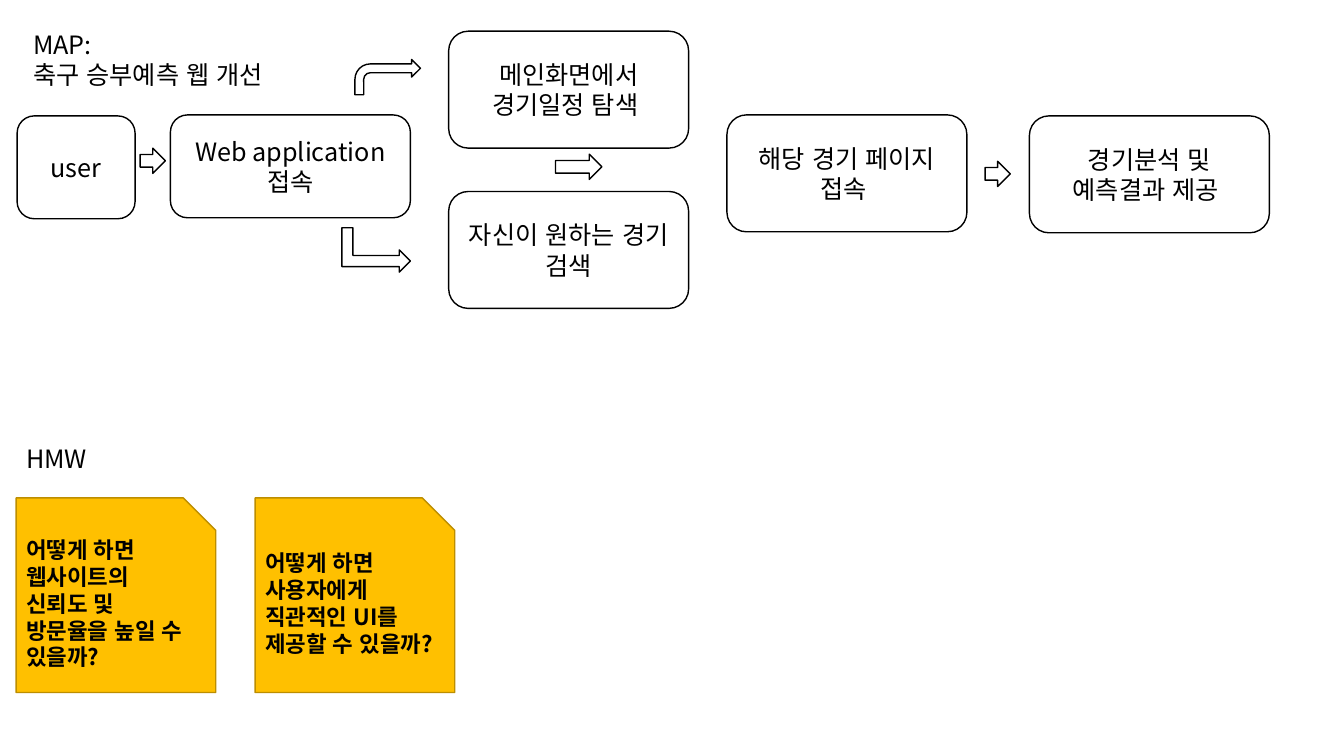
from pptx import Presentation
from pptx.dml.color import RGBColor
from pptx.enum.lang import MSO_LANGUAGE_ID as Lang
from pptx.enum.shapes import MSO_SHAPE as Shape
from pptx.enum.text import MSO_ANCHOR as Anchor, MSO_AUTO_SIZE as AutoSize, PP_ALIGN as Align
from pptx.oxml.ns import qn
from pptx.util import Inches, Pt

FONT = "Noto Sans CJK KR"
BLACK, WHITE, AMBER, BROWN = "000000", "FFFFFF", "FFC000", "BD8E00"

deck = Presentation()
deck.slide_width, deck.slide_height = Inches(13.33), Inches(7.5)
slide = deck.slides.add_slide(deck.slide_layouts[6])


def write(holder, text, size=18, bold=False, align=Align.LEFT):
    frame = holder.text_frame
    frame.word_wrap = True
    frame.text = text
    for paragraph in frame.paragraphs:
        paragraph.alignment = align
        for run in paragraph.runs:
            font = run.font
            font.name, font.size, font.bold = FONT, Pt(size), bold
            font.color.rgb = RGBColor.from_string(BLACK)
            font.language_id = Lang.KOREAN
            east_asian = font._element.makeelement(qn("a:ea"), {"typeface": FONT})
            font._element.find(qn("a:latin")).addnext(east_asian)


def draw(kind, left, top, width, height, fill=WHITE, line=BLACK):
    shape = slide.shapes.add_shape(kind, *map(Inches, (left, top, width, height)))
    shape.shadow.inherit = False
    shape.fill.solid()
    shape.fill.fore_color.rgb = RGBColor.from_string(fill)
    shape.line.color.rgb = RGBColor.from_string(line)
    shape.line.width = Pt(1)
    shape.text_frame.vertical_anchor = Anchor.MIDDLE
    return shape


# Map steps: the wide ones share one width, the later ones one height
step_width, step_height, entry_height = 2.38, 1.16, 1.02
steps = [
    ("user", 0.17, 1.15, 1.17, entry_height),
    ("Web application 접속", 1.69, 1.14, step_width, entry_height),
    ("메인화면에서 경기일정 탐색 ", 4.45, 0.31, step_width, step_height),
    ("자신이 원하는 경기 검색", 4.45, 1.9, step_width, step_height),
    ("해당 경기 페이지 접속 ", 7.21, 1.14, step_width, step_height),
    ("경기분석 및 예측결과 제공 ", 10.21, 1.15, step_width, step_height),
]
for text, *place in steps:
    write(draw(Shape.ROUNDED_RECTANGLE, *place), text, align=Align.CENTER)

# Block arrows between the steps
for left, top, length in [(1.39, 1.47, 0.25), (5.51, 1.53, 0.46), (9.77, 1.6, 0.25)]:
    draw(Shape.RIGHT_ARROW, left, top, length, 0.25)
draw(Shape.BENT_ARROW, 3.52, 0.59, 0.65, 0.35)
to_search = draw(Shape.BENT_UP_ARROW, 3.51, 2.14, 0.44, 0.68)
to_search.rotation = 90

# Section headings
headings = [
    ("MAP:\n축구 승부예측 웹 개선", 0.23, 0.24, 2.92, 0.71),
    ("HMW", 0.16, 4.35, 1.58, 0.4),
]
for text, *place in headings:
    heading = slide.shapes.add_textbox(*map(Inches, place))
    write(heading, text)
    heading.text_frame.auto_size = AutoSize.SHAPE_TO_FIT_TEXT

# How-might-we notes
questions = [
    "어떻게 하면 웹사이트의 신뢰도 및 방문율을 높일 수 있을까?",
    "어떻게 하면 사용자에게 직관적인 UI를 제공할 수 있을까?",
]
for column, question in enumerate(questions):
    note = draw(Shape.SNIP_1_RECTANGLE, 0.16 + 2.37 * column, 4.94, 1.98, 1.93, AMBER, BROWN)
    write(note, question, size=16, bold=True)

deck.save("out.pptx")
